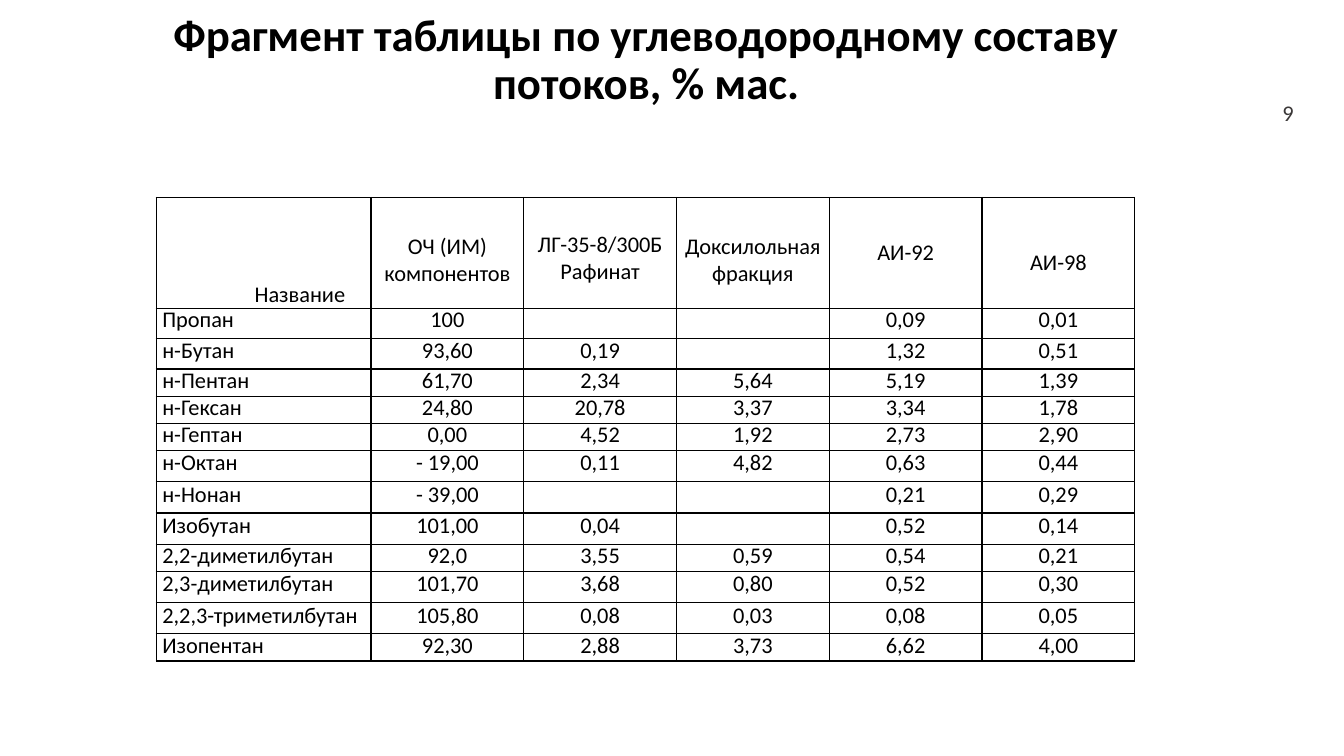
from dataclasses import dataclass

import pptx
import pptx.dml.color
import pptx.enum.text
import pptx.oxml
import pptx.oxml.ns
import pptx.util
from pptx.util import Inches

ALIGN = pptx.enum.text.PP_ALIGN
ANCHOR = pptx.enum.text.MSO_ANCHOR
BLACK = "000000"
GREY = "3B3838"


@dataclass
class Header:
    lines: list[str]
    top: float = 0
    left: float = 0
    anchor: ANCHOR = ANCHOR.MIDDLE


@dataclass
class Component:
    name: str
    values: list[str]
    tall: bool = False


HEADERS = [
    Header(["Название"], left=0.72, anchor=ANCHOR.BOTTOM),
    Header(["ОЧ (ИМ)", "компонентов"], top=0.15),
    Header(["ЛГ-35-8/300Б", "Рафинат"], top=0.11),
    Header(["Доксилольная", "фракция"], top=0.15),
    Header(["АИ-92"]),
    Header(["АИ-98"], top=0.2),
]
COMPONENTS = [
    Component("Пропан", ["100", "", "", "0,09", "0,01"]),
    Component("н-Бутан", ["93,60", "0,19", "", "1,32", "0,51"]),
    Component("н-Пентан", ["61,70", "2,34", "5,64", "5,19", "1,39"]),
    Component("н-Гексан", ["24,80", "20,78", "3,37", "3,34", "1,78"]),
    Component("н-Гептан", ["0,00", "4,52", "1,92", "2,73", "2,90"]),
    Component("н-Октан", ["- 19,00", "0,11", "4,82", "0,63", "0,44"], tall=True),
    Component("н-Нонан", ["- 39,00", "", "", "0,21", "0,29"], tall=True),
    Component("Изобутан", ["101,00", "0,04", "", "0,52", "0,14"], tall=True),
    Component("2,2-диметилбутан", ["92,0", "3,55", "0,59", "0,54", "0,21"]),
    Component("2,3-диметилбутан", ["101,70", "3,68", "0,80", "0,52", "0,30"], tall=True),
    Component("2,2,3-триметилбутан", ["105,80", "0,08", "0,03", "0,08", "0,05"], tall=True),
    Component("Изопентан", ["92,30", "2,88", "3,73", "6,62", "4,00"]),
]
NAME_WIDTH, VALUE_WIDTH = 2.13, 1.515
HEADER_HEIGHT, ROW_HEIGHT, TALL_HEIGHT = 1.1, 0.27, 0.31


def colour(value: str) -> pptx.dml.color.RGBColor:
    return pptx.dml.color.RGBColor.from_string(value)


def write(frame, lines: list[str], *, size: float = 16, color: str = BLACK,
          bold: bool = False, align: ALIGN = ALIGN.CENTER, spacing=None) -> None:
    """Fill a text frame with one paragraph per line."""
    for index, line in enumerate(lines):
        para = frame.add_paragraph() if index else frame.paragraphs[0]
        para.alignment = align
        para.line_spacing = spacing
        if line:
            span = para.add_run()
            span.text = line
            span.font.name = "Calibri"
            span.font.size = pptx.util.Pt(size)
            span.font.bold = bold
            span.font.color.rgb = colour(color)


def format_cell(cell, *, left: float = 0, top: float = 0,
                anchor: ANCHOR = ANCHOR.TOP) -> None:
    """Set margins, anchor, thin black borders and no fill."""
    cell.margin_left, cell.margin_top = Inches(left), Inches(top)
    cell.margin_right = cell.margin_bottom = 0
    cell.vertical_anchor = anchor
    properties = cell._tc.get_or_add_tcPr()
    for side in ("lnL", "lnR", "lnT", "lnB"):
        properties.append(pptx.oxml.parse_xml(
            f'<a:{side} {pptx.oxml.ns.nsdecls("a")} w="12700"><a:solidFill>'
            f'<a:srgbClr val="{BLACK}"/></a:solidFill></a:{side}>'))
    cell.fill.background()


def add_title(slide) -> None:
    title = slide.shapes.title
    title.left, title.top = Inches(0.92), Inches(0.17)
    title.width, title.height = Inches(10.98), Inches(0.87)
    title.text_frame.vertical_anchor = ANCHOR.MIDDLE
    title.text_frame.auto_size = pptx.enum.text.MSO_AUTO_SIZE.NONE
    write(title.text_frame, ["Фрагмент таблицы по углеводородному составу потоков, % мас."],
          size=32, bold=True, spacing=0.9)


def add_page_number(slide) -> None:
    box = slide.shapes.add_textbox(Inches(12.42), Inches(0.92), Inches(0.51), Inches(0.4))
    box.text_frame.word_wrap = True
    box.text_frame.vertical_anchor = ANCHOR.MIDDLE
    write(box.text_frame, ["9"], color=GREY, align=ALIGN.RIGHT)


def add_composition_table(slide) -> None:
    widths = [NAME_WIDTH] + [VALUE_WIDTH] * (len(HEADERS) - 1)
    heights = [HEADER_HEIGHT] + [TALL_HEIGHT if component.tall else ROW_HEIGHT
                                 for component in COMPONENTS]
    table = slide.shapes.add_table(len(heights), len(widths), Inches(1.55), Inches(1.96),
                                   Inches(sum(widths)), Inches(sum(heights))).table
    table.first_row = table.horz_banding = False
    for column, width in zip(table.columns, widths):
        column.width = Inches(width)
    for row, height in zip(table.rows, heights):
        row.height = Inches(height)

    # Header row
    for index, header in enumerate(HEADERS):
        cell = table.cell(0, index)
        format_cell(cell, left=header.left, top=header.top, anchor=header.anchor)
        spacing = pptx.util.Pt(19) if len(header.lines) > 1 else None
        write(cell.text_frame, header.lines, spacing=spacing)

    # Component rows
    for row_index, component in enumerate(COMPONENTS, start=1):
        spacing = pptx.util.Pt(18.9 if component.tall else 18.2)
        for index, text in enumerate([component.name, *component.values]):
            cell = table.cell(row_index, index)
            format_cell(cell, left=0 if index else 0.06)
            write(cell.text_frame, [text], spacing=spacing,
                  align=ALIGN.CENTER if index else ALIGN.LEFT)


def main() -> None:
    deck = pptx.Presentation()
    deck.slide_width, deck.slide_height = Inches(13.33), Inches(7.5)
    slide = deck.slides.add_slide(deck.slide_layouts.get_by_name("Title Only"))
    add_title(slide)
    add_page_number(slide)
    add_composition_table(slide)
    deck.save("out.pptx")


if __name__ == "__main__":
    main()
